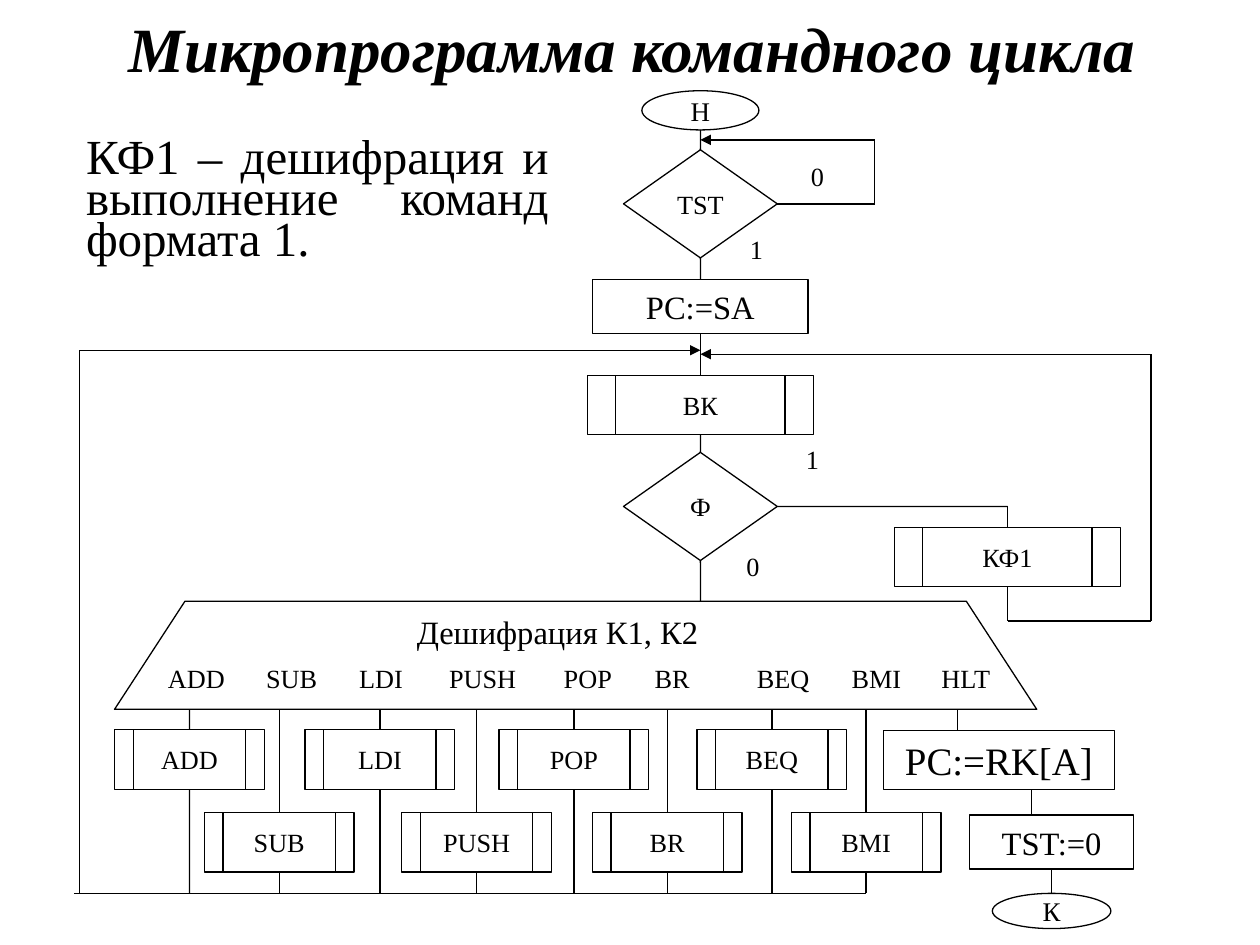
from dataclasses import dataclass
from typing import NamedTuple

from lxml import etree
from pptx import Presentation
from pptx.dml.color import RGBColor
from pptx.enum.shapes import MSO_CONNECTOR, MSO_SHAPE
from pptx.enum.text import MSO_ANCHOR, MSO_AUTO_SIZE, PP_ALIGN
from pptx.oxml.ns import qn
from pptx.util import Cm, Pt

CENTER, JUSTIFY = PP_ALIGN.CENTER, PP_ALIGN.JUSTIFY
TOP, MIDDLE = MSO_ANCHOR.TOP, MSO_ANCHOR.MIDDLE
NO_AUTOFIT = MSO_AUTO_SIZE.NONE
STRAIGHT = MSO_CONNECTOR.STRAIGHT
OVAL, DIAMOND, RECTANGLE = MSO_SHAPE.OVAL, MSO_SHAPE.DIAMOND, MSO_SHAPE.RECTANGLE
PROCEDURE = MSO_SHAPE.FLOWCHART_PREDEFINED_PROCESS
TITLE_AND_CONTENT = 1
TOP_SIDE, BOTTOM_SIDE, RIGHT_SIDE = 0, 2, 3


@dataclass(frozen=True)
class Theme:
    font: str = "Times New Roman"
    ink: RGBColor = RGBColor(0, 0, 0)
    line: float = 0.75
    title: float = 36
    body: float = 28
    large: float = 22.2
    medium: float = 18.6
    terminal: float = 15.4
    small: float = 15


class Joint(NamedTuple):
    shape: object
    side: int


class Flowchart:
    """Draws flowchart elements on the current slide in one style."""

    def __init__(self, slide, theme):
        self.slide = slide
        self.theme = theme

    def add_text(self, frame, text, size, align=CENTER, anchor=MIDDLE, bold=False):
        frame.auto_size = NO_AUTOFIT
        frame.vertical_anchor = anchor
        para = frame.paragraphs[0]
        para.alignment = align
        span = para.add_run()
        span.text = text
        font = span.font
        font.name, font.size = self.theme.font, Pt(size)
        font.bold = font.italic = bold
        font.color.rgb = self.theme.ink
        return para

    def place(self, box, left, top, width, height):
        box.left, box.top = Cm(left), Cm(top)
        box.width, box.height = Cm(width), Cm(height)

    def title(self, text, *bounds):
        box = self.slide.shapes.title
        self.place(box, *bounds)
        self.add_text(box.text_frame, text, self.theme.title, bold=True)

    def body(self, text, indent, *bounds):
        box = self.slide.placeholders[1]
        self.place(box, *bounds)
        para = self.add_text(box.text_frame, text, self.theme.body, JUSTIFY, TOP)
        properties = para._p.get_or_add_pPr()
        properties.set("marL", str(Cm(indent)))
        properties.set("indent", "0")
        etree.SubElement(properties, qn("a:buNone"))
        para.line_spacing = 0.7
        para.space_before = Pt(0)

    def outline(self, shape):
        shape.shadow.inherit = False
        shape.fill.background()
        self.stroke(shape)

    def stroke(self, shape):
        shape.line.color.rgb = self.theme.ink
        shape.line.width = Pt(self.theme.line)

    def block(self, kind, text, center, top, width, height, size=None):
        shape = self.slide.shapes.add_shape(
            kind, Cm(center - width / 2), Cm(top), Cm(width), Cm(height))
        self.outline(shape)
        frame = shape.text_frame
        frame.margin_left = frame.margin_right = Cm(0)
        frame.margin_top = frame.margin_bottom = Cm(0)
        frame.word_wrap = False
        self.add_text(frame, text, size or self.theme.small)
        return shape

    def label(self, text, center, top, width=2.4, size=None):
        box = self.slide.shapes.add_textbox(
            Cm(center - width / 2), Cm(top), Cm(width), Cm(0.97))
        box.text_frame.word_wrap = True
        self.add_text(box.text_frame, text, size or self.theme.small, anchor=TOP)

    def polygon(self, first, *others):
        builder = self.slide.shapes.build_freeform(Cm(first[0]), Cm(first[1]))
        builder.add_line_segments([(Cm(x), Cm(y)) for x, y in others])
        self.outline(builder.convert_to_shape())

    def line(self, start, end, arrow=False):
        points = [(0, 0) if isinstance(stop, Joint) else stop for stop in (start, end)]
        connector = self.slide.shapes.add_connector(
            STRAIGHT, *[Cm(value) for point in points for value in point])
        if isinstance(start, Joint):
            connector.begin_connect(*start)
        if isinstance(end, Joint):
            connector.end_connect(*end)
        self.stroke(connector)
        if arrow:
            etree.SubElement(connector.line._get_or_add_ln(), qn("a:tailEnd"), type="triangle")
        etree.SubElement(connector._element.spPr, qn("a:effectLst"))

    def route(self, *stops, arrow=False):
        last = len(stops) - 2
        for index, (start, end) in enumerate(zip(stops, stops[1:])):
            self.line(start, end, arrow and index == last)


def draw_main_column(chart, axis, decoder_top):
    theme = chart.theme
    chart.block(OVAL, "Н", axis, 1.83, 2.36, 0.79, theme.terminal)
    test = chart.block(DIAMOND, "TST", axis, 3.02, 3.1, 2.18)
    load = chart.block(RECTANGLE, "PC:=SA", axis, 5.64, 4.34, 1.09, theme.medium)
    fetch = chart.block(PROCEDURE, "ВК", axis, 7.57, 4.55, 1.19)
    form = chart.block(DIAMOND, "Ф", axis, 9.12, 3.1, 2.18)
    format_one = chart.block(PROCEDURE, "КФ1", 20.31, 10.64, 4.55, 1.19)

    chart.line((axis, 2.62), Joint(test, TOP_SIDE))
    for upper, lower in ((test, load), (load, fetch), (fetch, form)):
        chart.line(Joint(upper, BOTTOM_SIDE), Joint(lower, TOP_SIDE))
    chart.line(Joint(form, BOTTOM_SIDE), (axis, decoder_top))
    chart.route(Joint(test, RIGHT_SIDE), (17.63, 4.11), (17.63, 2.82), (axis, 2.82), arrow=True)
    chart.route(Joint(form, RIGHT_SIDE), (20.31, 10.21), Joint(format_one, TOP_SIDE))
    chart.route(Joint(format_one, BOTTOM_SIDE), (20.31, 12.52), (23.2, 12.52),
                (23.2, 7.14), (axis, 7.14), arrow=True)
    for text, center, top in (("0", 16.48, 3.1), ("1", 15.25, 4.57),
                              ("1", 16.38, 8.81), ("0", 15.18, 10.97)):
        chart.label(text, center, top)


def draw_decoder(chart, top, bottom):
    chart.polygon((2.31, bottom), (3.73, top), (19.48, top), (20.9, bottom))
    chart.label("Дешифрация К1, К2", 11.24, 12.22, 8.4, chart.theme.medium)
    commands = (("ADD", 3.96), ("SUB", 5.88), ("LDI", 7.68), ("PUSH", 9.73), ("POP", 11.85),
                ("BR", 13.55), ("BEQ", 15.79), ("BMI", 17.67), ("HLT", 19.47))
    for text, center in commands:
        chart.label(text, center, 13.23)


def draw_commands(chart, axis, decoder_bottom):
    bus = 18.01
    procedures = (("ADD", 3.82), ("SUB", 5.63), ("LDI", 7.66), ("PUSH", 9.61),
                  ("POP", 11.57), ("BR", 13.45), ("BEQ", 15.56), ("BMI", 17.46))
    for index, (text, center) in enumerate(procedures):
        top = 16.38 if index % 2 else 14.71
        procedure = chart.block(PROCEDURE, text, center, top, 3.02, 1.2)
        chart.line((center, decoder_bottom), Joint(procedure, TOP_SIDE))
        chart.line(Joint(procedure, BOTTOM_SIDE), (center, bus))
    chart.line((1.5, bus), (procedures[-1][1], bus))
    chart.route((1.6, bus), (1.6, 7.06), (axis, 7.06), arrow=True)


def draw_halt(chart, decoder_bottom):
    theme = chart.theme
    chart.block(RECTANGLE, "PC:=RK[A]", 20.14, 14.73, 4.67, 1.19, theme.large)
    reset = chart.block(RECTANGLE, "TST:=0", 21.2, 16.43, 3.3, 1.09, theme.medium)
    end = chart.block(OVAL, "К", 21.2, 18.01, 2.39, 0.71, theme.terminal)
    chart.line((19.3, decoder_bottom), (19.3, 14.73))
    chart.line((20.8, 15.92), (20.8, 16.43))
    chart.line(Joint(reset, BOTTOM_SIDE), Joint(end, TOP_SIDE))


def main():
    deck = Presentation()
    deck.slide_width, deck.slide_height = Cm(25.4), Cm(19.05)
    page = deck.slides.add_slide(deck.slide_layouts[TITLE_AND_CONTENT])
    chart = Flowchart(page, Theme())
    axis, decoder_top, decoder_bottom = 14.12, 12.12, 14.3
    chart.title("Микропрограмма командного цикла", 0.69, 0, 24.1, 1.9)
    chart.body("КФ1 – дешифрация и выполнение команд формата 1.", 0.97, 0.51, 2.72, 10.8, 3)
    draw_main_column(chart, axis, decoder_top)
    draw_decoder(chart, decoder_top, decoder_bottom)
    draw_commands(chart, axis, decoder_bottom)
    draw_halt(chart, decoder_bottom)
    deck.save("out.pptx")


if __name__ == "__main__":
    main()
